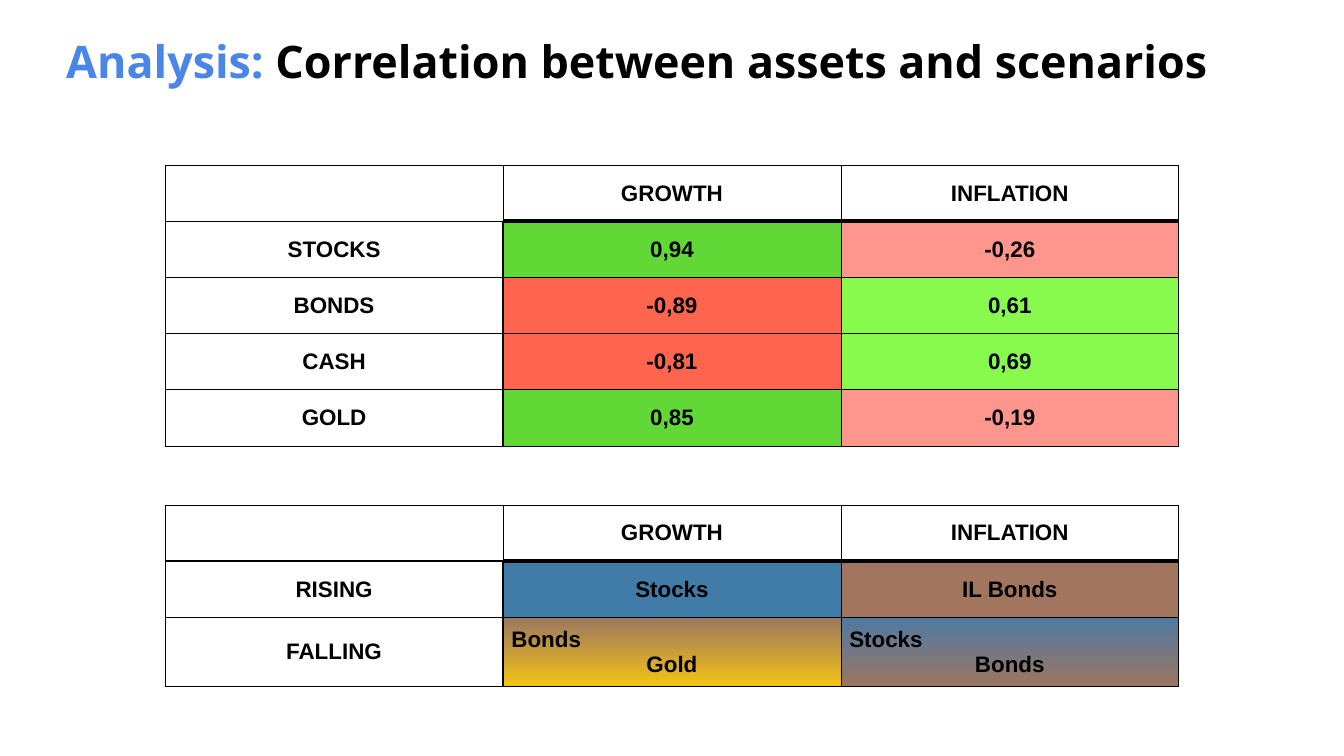
from lxml.etree import SubElement
from pptx import Presentation
from pptx.dml.color import RGBColor
from pptx.enum.text import MSO_ANCHOR, PP_ALIGN
from pptx.oxml.ns import qn
from pptx.util import Pt

THEME = {
    "black": "000000", "white": "FFFFFF", "accent": "4A86E8",
    "strong_pos": "61D836", "weak_pos": "88FA4E",
    "strong_neg": "FF644E", "weak_neg": "FF968D",
    "stocks": "417BA7", "il_bonds": "A1755E",
    "bonds_gold": ("9B7661", "F4C313"), "stocks_bonds": ("4F7AA3", "9B7661"),
    "title_size": 24, "cell_size": 12,
    "title_font": "Open Sans", "cell_font": "Arial",
}
THIN, MEDIUM, THICK = 0.35, 0.75, 2.5


def add_text(p, text, font=THEME["cell_font"], size=THEME["cell_size"],
             color=THEME["black"], align=PP_ALIGN.CENTER):
    p.alignment = align
    r = p.add_run()
    r.text = text
    r.font.name, r.font.size, r.font.bold = font, Pt(size), True
    r.font.color.rgb = RGBColor.from_string(color)


def set_borders(cell, **widths):
    tc_pr = cell._tc.get_or_add_tcPr()
    for side in ("L", "R", "T", "B"):
        ln = SubElement(tc_pr, qn(f"a:ln{side}"), w=str(Pt(widths.get(side, THIN))))
        fill = SubElement(ln, qn("a:solidFill"))
        SubElement(fill, qn("a:srgbClr"), val=THEME["black"])


prs = Presentation()
prs.slide_width, prs.slide_height = Pt(720), Pt(405)
s = prs.slides.add_slide(prs.slide_layouts[5])

# Title
title = s.shapes.title
title.left, title.top, title.width, title.height = Pt(34), Pt(16.5), Pt(651.5), Pt(32)
tf = title.text_frame
tf.word_wrap = True
tf.vertical_anchor = MSO_ANCHOR.MIDDLE
tf.margin_left = tf.margin_right = tf.margin_top = tf.margin_bottom = Pt(1.5)
for text, color in (("Analysis:", "accent"),
                    (" Correlation between assets and scenarios", "black")):
    add_text(tf.paragraphs[0], text, font=THEME["title_font"],
             size=THEME["title_size"], color=THEME[color], align=PP_ALIGN.LEFT)

# Table contents: each cell is its text and the name of its fill
header = [("", "white"), ("GROWTH", "white"), ("INFLATION", "white")]
correlations = [
    header,
    [("STOCKS", "white"), ("0,94", "strong_pos"), ("-0,26", "weak_neg")],
    [("BONDS", "white"), ("-0,89", "strong_neg"), ("0,61", "weak_pos")],
    [("CASH", "white"), ("-0,81", "strong_neg"), ("0,69", "weak_pos")],
    [("GOLD", "white"), ("0,85", "strong_pos"), ("-0,19", "weak_neg")],
]
scenarios = [
    header,
    [("RISING", "white"), ("Stocks", "stocks"), ("IL Bonds", "il_bonds")],
    [("FALLING", "white"), ("Bonds\nGold", "bonds_gold"),
     ("Stocks\nBonds", "stocks_bonds")],
]

# Tables
col_w, row_h, tall_row_h = 181, 30.1, 37
for top, rows in ((88.5, correlations), (270.5, scenarios)):
    heights = [tall_row_h if any("\n" in text for text, _ in row) else row_h
               for row in rows]
    table = s.shapes.add_table(len(rows), 3, Pt(88.5), Pt(top),
                               Pt(3 * col_w), Pt(sum(heights))).table
    table.first_row = table.horz_banding = False
    for col in table.columns:
        col.width = Pt(col_w)
    for i, row in enumerate(rows):
        table.rows[i].height = Pt(heights[i])
        for j, (text, fill) in enumerate(row):
            cell = table.cell(i, j)
            cell.vertical_anchor = MSO_ANCHOR.MIDDLE
            cell.margin_left = cell.margin_right = Pt(4.5)
            cell.margin_top = cell.margin_bottom = Pt(4.5)

            # Heavier lines separate the headers from the values
            rule = THICK if j else MEDIUM
            set_borders(cell,
                        L=MEDIUM if i and j == 1 else THIN,
                        R=MEDIUM if i and j == 0 else THIN,
                        T=rule if i == 1 else THIN,
                        B=rule if i == 0 else THIN)

            # Solid or top-to-bottom gradient fill
            colors = THEME[fill]
            if isinstance(colors, tuple):
                cell.fill.gradient()
                cell.fill.gradient_angle = 270
                for stop, color in zip(cell.fill.gradient_stops, colors):
                    stop.color.rgb = RGBColor.from_string(color)
            else:
                cell.fill.solid()
                cell.fill.fore_color.rgb = RGBColor.from_string(colors)

            # In two-line cells the first line sits at the left
            tf = cell.text_frame
            tf.paragraphs[0].font.size = Pt(THEME["cell_size"])
            lines = text.split("\n") if text else []
            for n, line in enumerate(lines):
                p = tf.add_paragraph() if n else tf.paragraphs[0]
                last = n == len(lines) - 1
                add_text(p, line, align=PP_ALIGN.CENTER if last else PP_ALIGN.LEFT)

prs.save("out.pptx")
